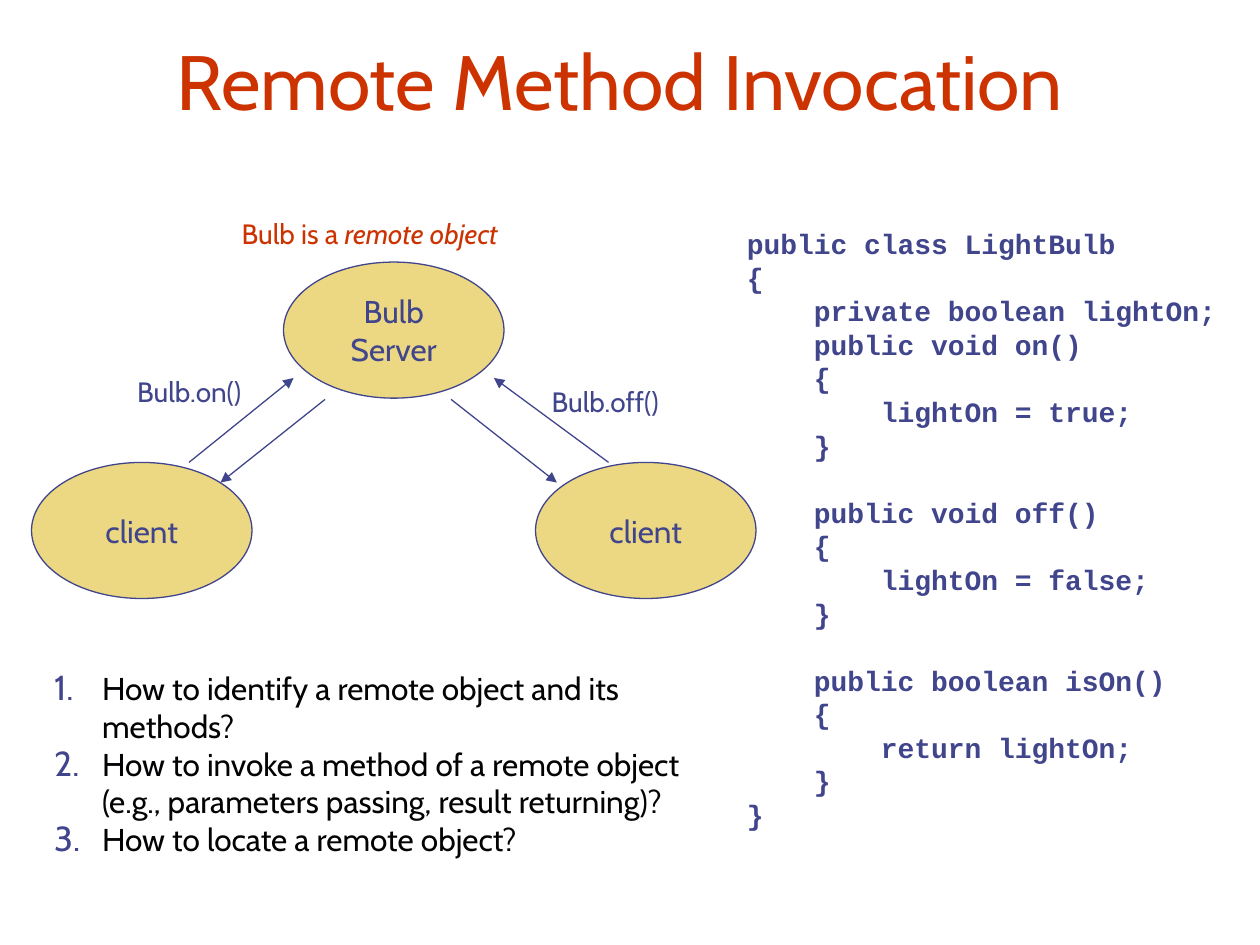
from lxml import etree
from pptx import Presentation
from pptx.dml.color import RGBColor
from pptx.enum.shapes import MSO_CONNECTOR, MSO_SHAPE
from pptx.enum.text import MSO_ANCHOR, MSO_AUTO_SIZE, PP_ALIGN
from pptx.oxml.ns import qn
from pptx.util import Inches, Pt

ELLIPSE, STRAIGHT = MSO_SHAPE.OVAL, MSO_CONNECTOR.STRAIGHT
CENTER, LEFT = PP_ALIGN.CENTER, PP_ALIGN.LEFT
MIDDLE, TOP = MSO_ANCHOR.MIDDLE, MSO_ANCHOR.TOP
NO_FIT = MSO_AUTO_SIZE.NONE

COLORS = {"red": "CC3300", "indigo": "40458C", "sand": "ECD882", "ink": "030305"}
BODY_FONT, CODE_FONT = "Cabin", "Courier New"


def color(name):
    return RGBColor.from_string(COLORS[name])


def add_run(paragraph, text, size, color_name, font=BODY_FONT, bold=False, italic=False):
    run = paragraph.add_run()
    run.text = text
    run.font.name = font
    run.font.size = Pt(size)
    run.font.bold = bold
    run.font.italic = italic
    run.font.color.rgb = color(color_name)


prs = Presentation()
prs.slide_width, prs.slide_height = Inches(10), Inches(7.5)
slide = prs.slides.add_slide(prs.slide_layouts[1])
shapes = slide.shapes

# Title
title = shapes.title
title.left, title.top, title.width, title.height = (
    Inches(v) for v in (0.17, 0.17, 9.5, 0.92))
heading = title.text_frame
heading.margin_left = heading.margin_right = heading.margin_top = heading.margin_bottom = 0
heading.vertical_anchor = MIDDLE
heading.auto_size = NO_FIT
heading.paragraphs[0].alignment = CENTER
add_run(heading.paragraphs[0], "Remote Method Invocation", 44, "red")

# Numbered questions
body = slide.placeholders[1]
body.left, body.top, body.width, body.height = (
    Inches(v) for v in (0.33, 5.26, 5.5, 1.9))
questions = body.text_frame
questions.vertical_anchor = TOP
questions.auto_size = NO_FIT
for i, question in enumerate([
    "How to identify a remote object and its methods?",
    "How to invoke a method of a remote object (e.g., parameters passing, result returning)?",
    "How to locate a remote object?",
]):
    paragraph = questions.paragraphs[0] if i == 0 else questions.add_paragraph()
    props = paragraph._p.get_or_add_pPr()
    props.set("marL", str(Inches(0.38)))
    props.set("indent", str(-Inches(0.38)))
    number_color = etree.SubElement(props, qn("a:buClr"))
    etree.SubElement(number_color, qn("a:srgbClr"), val=COLORS["indigo"])
    etree.SubElement(props, qn("a:buSzPct"), val="110000")
    etree.SubElement(props, qn("a:buFont"), typeface=BODY_FONT)
    etree.SubElement(props, qn("a:buAutoNum"), type="arabicPeriod")
    paragraph.alignment = LEFT
    paragraph.space_before = Pt(0)
    add_run(paragraph, question, 18, "ink")

# Server and clients
for left, top, lines in [
    (2.25, 2.08, ["Bulb", "Server"]),
    (0.25, 3.67, ["client"]),
    (4.25, 3.67, ["client"]),
]:
    node = shapes.add_shape(ELLIPSE, Inches(left), Inches(top), Inches(1.75), Inches(1.08))
    node.shadow.inherit = False
    node.fill.solid()
    node.fill.fore_color.rgb = color("sand")
    node.line.color.rgb = color("indigo")
    node.line.width = Pt(0.75)
    frame = node.text_frame
    frame.word_wrap = False
    frame.vertical_anchor = MIDDLE
    for i, line in enumerate(lines):
        paragraph = frame.paragraphs[0] if i == 0 else frame.add_paragraph()
        paragraph.alignment = CENTER
        add_run(paragraph, line, 18, "indigo")

# Calls up to the server and replies down to the clients
for x1, y1, x2, y2 in [
    (1.5, 3.67, 2.33, 3),
    (4.83, 3.67, 3.92, 3),
    (2.58, 3.17, 1.75, 3.83),
    (3.58, 3.17, 4.42, 3.83),
]:
    arrow = shapes.add_connector(STRAIGHT, Inches(x1), Inches(y1), Inches(x2), Inches(y2))
    arrow.line.color.rgb = color("indigo")
    arrow.line.width = Pt(0.75)
    etree.SubElement(arrow.line._get_or_add_ln(), qn("a:tailEnd"), type="triangle")
    etree.SubElement(arrow._element.spPr, qn("a:effectLst"))

# Diagram labels: runs of (text, italic)
for left, top, width, color_name, runs in [
    (0.99, 2.92, 1.14, "indigo", [("Bulb.on()", False)]),
    (4.28, 3, 1.15, "indigo", [("Bulb.off()", False)]),
    (1.82, 1.67, 2.49, "red", [("Bulb is a ", False), ("remote object", True)]),
]:
    label = shapes.add_textbox(Inches(left), Inches(top), Inches(width), Inches(0.37))
    label.text_frame.word_wrap = False
    for text, italic in runs:
        add_run(label.text_frame.paragraphs[0], text, 16, color_name, italic=italic)

# Code listing; an empty line becomes space before the next one
code_lines = """public class LightBulb
{
    private boolean lightOn;
    public void on()
    {
        lightOn = true;
    }

    public void off()
    {
        lightOn = false;
    }

    public boolean isOn()
    {
        return lightOn;
    }
}""".split("\n")
LINE_PITCH = Pt(19.2)
listing = shapes.add_textbox(Inches(5.83), Inches(1.75), Inches(4), Inches(4.9)).text_frame
listing.word_wrap = True
for i, line in enumerate(code_lines):
    if not line:
        continue
    paragraph = listing.paragraphs[0] if i == 0 else listing.add_paragraph()
    paragraph.line_spacing = LINE_PITCH
    if i > 0 and not code_lines[i - 1]:
        paragraph.space_before = LINE_PITCH
    add_run(paragraph, line, 16, "indigo", CODE_FONT, bold=True)

prs.save("out.pptx")
